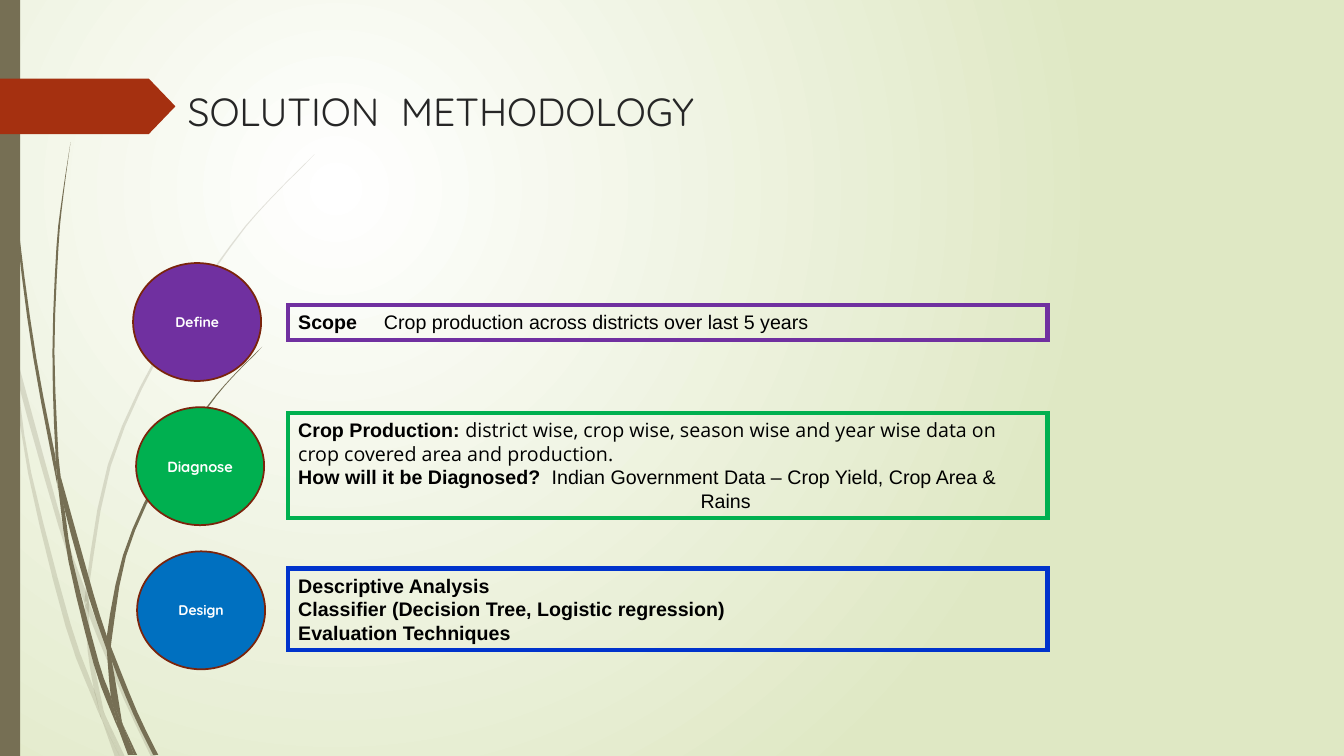
from lxml import etree
from pptx import Presentation
from pptx.dml.color import RGBColor
from pptx.enum.shapes import MSO_SHAPE
from pptx.enum.text import MSO_ANCHOR, PP_ALIGN
from pptx.oxml.ns import qn
from pptx.util import Pt

RECT, OVAL, PENTAGON = MSO_SHAPE.RECTANGLE, MSO_SHAPE.OVAL, MSO_SHAPE.PENTAGON
TOP, MIDDLE = MSO_ANCHOR.TOP, MSO_ANCHOR.MIDDLE
LEFT, CENTER = PP_ALIGN.LEFT, PP_ALIGN.CENTER

PX = 9144
SLIDE_W, SLIDE_H = 1333, 750
COLORS = {
    "white": "FFFFFF", "meadow": "DFE8C4", "stem": "766F54", "arrow": "A53010",
    "title": "262626", "text": "000000", "rim": "7A240C", "purple": "7030A0",
    "green": "00B050", "blue": "0070C0", "royal": "0033CC",
}

PALE_WISPS = [
    ([(0, 299), (10, 344), (11, 350)], [(0, 282), (9, 322), (11, 350)]),
    ([(14, 345), (17, 376), (58, 522), (84, 599)], [(14, 345), (62, 520), (85, 586)]),
    ([(88, 596), (88, 610), (123, 694), (150, 751)], [(88, 596), (92, 607), (127, 692), (155, 751)]),
    ([(105, 711), (119, 751)], [(105, 711), (124, 751)]),
    ([(11, 350), (28, 470), (65, 621), (92, 693), (101, 714)],
     [(11, 350), (17, 376), (31, 469), (70, 619), (93, 683), (99, 707)]),
    ([(84, 599), (87, 646), (93, 683), (96, 692), (105, 711)],
     [(84, 599), (88, 610), (91, 646), (103, 706)]),
    ([(312, 153), (268, 197), (228, 244), (158, 348), (107, 461), (85, 584), (88, 596)],
     [(312, 154), (268, 198), (229, 245), (160, 349), (110, 462), (88, 584)]),
    ([(101, 714), (114, 751)], [(101, 714), (119, 751)]),
    ([(85, 586), (84, 599), (88, 608)], [(85, 586), (88, 596), (88, 610)]),
    ([(93, 683), (99, 707), (101, 714), (119, 751)], [(93, 683), (96, 692), (105, 711)]),
]
DARK_WISPS = [
    ([(3, 0), (4, 48), (7, 110), (17, 233), (33, 355), (56, 477), (57, 481)],
     [(4, 0), (5, 48), (8, 109), (19, 232), (36, 355), (55, 453)]),
    ([(60, 472), (64, 505), (88, 592), (106, 645)], [(60, 472), (93, 590), (106, 631)]),
    ([(110, 641), (111, 656), (132, 708), (152, 749)], [(110, 641), (113, 649), (136, 706), (157, 749)]),
    ([(57, 477), (68, 557), (93, 659), (111, 708), (117, 722)],
     [(57, 477), (64, 505), (72, 556), (98, 657), (110, 691), (116, 717)]),
    ([(70, 141), (62, 193), (56, 245), (52, 349), (55, 449), (60, 472)],
     [(70, 141), (63, 193), (58, 245), (54, 349), (58, 453)]),
    ([(122, 719), (133, 749)], [(122, 719), (136, 749)]),
    ([(55, 449), (57, 477), (64, 505)], [(55, 449), (60, 472)]),
    ([(260, 344), (231, 373), (204, 405), (156, 474), (122, 551), (106, 631), (110, 641)],
     [(261, 344), (231, 374), (205, 406), (158, 476), (125, 552), (111, 633)]),
    ([(117, 722), (127, 749)], [(117, 722), (131, 749)]),
    ([(106, 645), (110, 691), (116, 706), (122, 719)], [(106, 645), (111, 656), (121, 716)]),
    ([(106, 631), (106, 645), (111, 656)], [(106, 631), (110, 641)]),
    ([(110, 691), (116, 717), (117, 722), (130, 749)], [(110, 691), (116, 706), (122, 719), (133, 749)]),
]

STAGES = [
    ("Define", 10, 132, "purple", "purple", (303, 34), [
        (85, [("Scope", "Arial", True),
              ("\tCrop production across districts over last 5 years", "Arial", False)]),
    ]),
    ("Diagnose", 10.5, 135, "green", "green", (410, 104), [
        (None, [("Crop Production: ", "Arial", True),
                ("district wise, crop wise, season wise and year wise data on crop covered "
                 "area and production.", "Open Sans", False)]),
        (399, [("How will it be Diagnosed?  ", "Arial", True),
               ("Indian Government Data – Crop Yield, Crop Area &", "Arial", False),
               None,
               ("\tRains", "Arial", False)]),
    ]),
    ("Design", 10, 136, "blue", "royal", (564, 81), [
        (None, [(line, "Arial", True)])
        for line in ("Descriptive Analysis",
                     "Classifier (Decision Tree, Logistic regression)",
                     "Evaluation Techniques")
    ]),
]


def rgb(name):
    return RGBColor.from_string(COLORS[name])


def add_shape(s, kind, box, fill=None, line=None, weight=0):
    sp = s.shapes.add_shape(kind, *(v * PX for v in box))
    style_shape(sp, fill, line, weight)
    return sp


def style_shape(sp, fill, line=None, weight=0):
    sp.shadow.inherit = False
    if fill:
        sp.fill.solid()
        sp.fill.fore_color.rgb = rgb(fill)
    else:
        sp.fill.background()
    if line:
        sp.line.color.rgb = rgb(line)
        sp.line.width = Pt(weight)
        etree.SubElement(sp.element.find(".//" + qn("a:ln")), qn("a:miter"), lim="800000")
    else:
        sp.line.fill.background()


def style_paragraph(p, align, size, color, name=None, bold=None):
    p.alignment = align
    p.font.size = Pt(size)
    p.font.color.rgb = rgb(color)
    p.font.name = name
    p.font.bold = bold


def smooth(points, steps=3):
    padded = [points[0], *points, points[-1]]
    curve = []
    for a, b, c, d in zip(padded, padded[1:], padded[2:], padded[3:]):
        for i in range(steps):
            t = i / steps
            curve.append(tuple(
                (2 * q + (r - o) * t + (2 * o - 5 * q + 4 * r - u) * t ** 2
                 + (3 * q - o - 3 * r + u) * t ** 3) / 2
                for o, q, r, u in zip(a, b, c, d)))
    return curve + [points[-1]]


def draw_wisps(s, wisps, alpha=None):
    for left_edge, right_edge in wisps:
        outline = [(round(x * PX), round(y * PX))
                   for x, y in smooth(left_edge) + smooth(right_edge)[:0:-1]]
        builder = s.shapes.build_freeform(*outline[0])
        builder.add_line_segments(outline[1:], close=True)
        sp = builder.convert_to_shape()
        style_shape(sp, "stem")
        if alpha:
            color = sp.element.find(".//" + qn("a:srgbClr"))
            etree.SubElement(color, qn("a:alpha"), val=str(alpha * 1000))


def draw_background(s):
    fill = s.background.fill
    fill.gradient()
    for stop, name in zip(fill.gradient_stops, ("white", "meadow")):
        stop.color.rgb = rgb(name)
    grad = s.element.find(".//" + qn("a:gradFill"))
    grad.remove(grad.find(qn("a:lin")))
    glow = etree.SubElement(grad, qn("a:path"), path="circle")
    etree.SubElement(glow, qn("a:fillToRect"), l="50000", t="50000", r="100000", b="100000")


def draw_decoration(s):
    draw_wisps(s, PALE_WISPS, alpha=20)
    draw_wisps(s, DARK_WISPS)
    add_shape(s, RECT, (0, 0, 20, SLIDE_H), "stem")
    arrow = add_shape(s, PENTAGON, (0, 78, 174, 55), "arrow")
    arrow.adjustments[0] = 0.48


def draw_title(s, box):
    sp = s.shapes.title
    sp.left, sp.top, sp.width, sp.height = (v * PX for v in box)
    tf = sp.text_frame
    tf.text = "SOLUTION  METHODOLOGY"
    tf.vertical_anchor = TOP
    style_paragraph(tf.paragraphs[0], LEFT, 28, "title", "Quicksand")


def draw_stage(s, stage, top, height):
    label, size, left, fill, border, (box_top, box_h), paragraphs = stage
    circle = add_shape(s, OVAL, (left, top, 127, height), fill, "rim", 1.25)
    tf = circle.text_frame
    tf.text = label
    tf.vertical_anchor = MIDDLE
    style_paragraph(tf.paragraphs[0], CENTER, size, "white", "Quicksand", True)

    panel = add_shape(s, RECT, (286, box_top, 753, box_h), None, border, 3)
    tf = panel.text_frame
    tf.word_wrap = True
    tf.vertical_anchor = TOP
    for i, (tab, runs) in enumerate(paragraphs):
        p = tf.add_paragraph() if i else tf.paragraphs[0]
        if tab:
            tabs = etree.SubElement(p._p.get_or_add_pPr(), qn("a:tabLst"))
            etree.SubElement(tabs, qn("a:tab"), pos=str(tab * PX), algn="l")
        style_paragraph(p, LEFT, 14, "text")
        for run in runs:
            if run is None:
                p.add_line_break()
                continue
            r = p.add_run()
            r.text, r.font.name, r.font.bold = run


def main():
    prs = Presentation()
    prs.slide_width, prs.slide_height = SLIDE_W * PX, SLIDE_H * PX
    s = prs.slides.add_slide(prs.slide_layouts[5])
    draw_background(s)
    draw_decoration(s)
    draw_title(s, (176, 82, 833, 87))
    for i, stage in enumerate(STAGES):
        draw_stage(s, stage, 261 + 143 * i, 117)
    prs.save("out.pptx")


if __name__ == "__main__":
    main()
